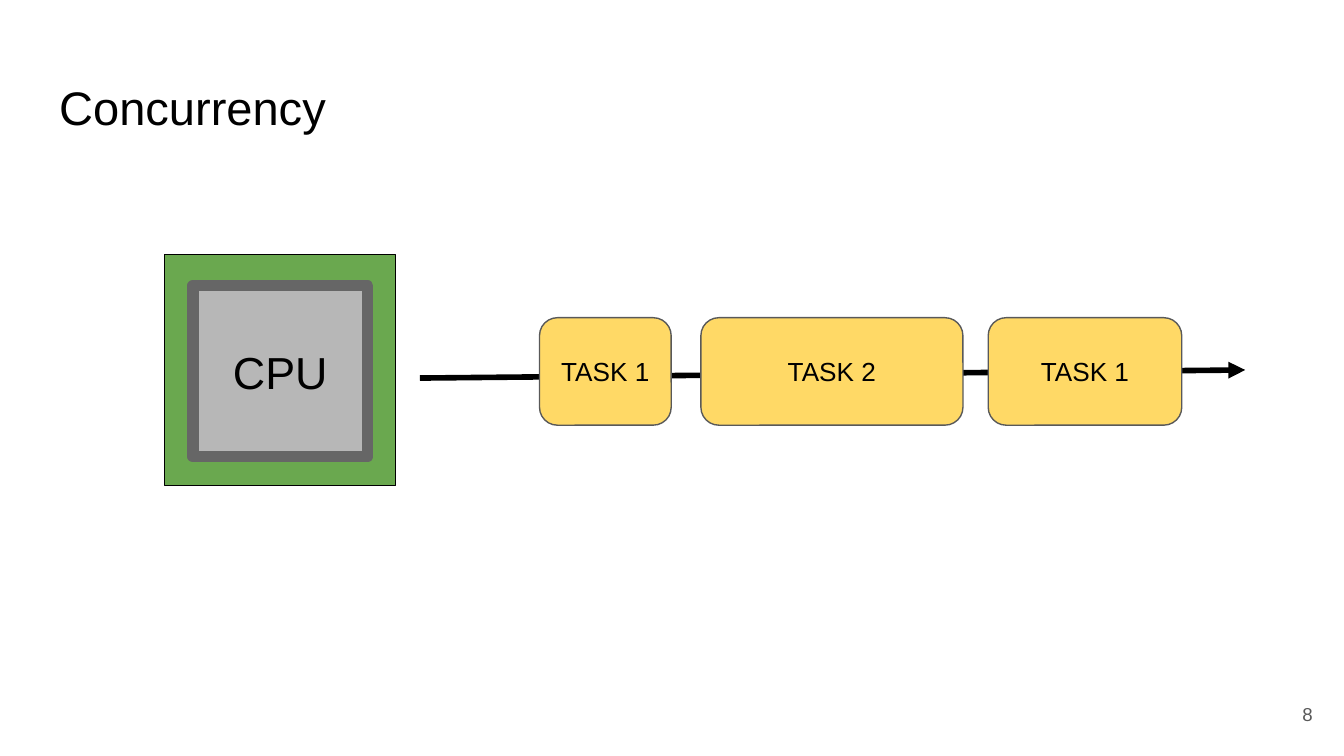
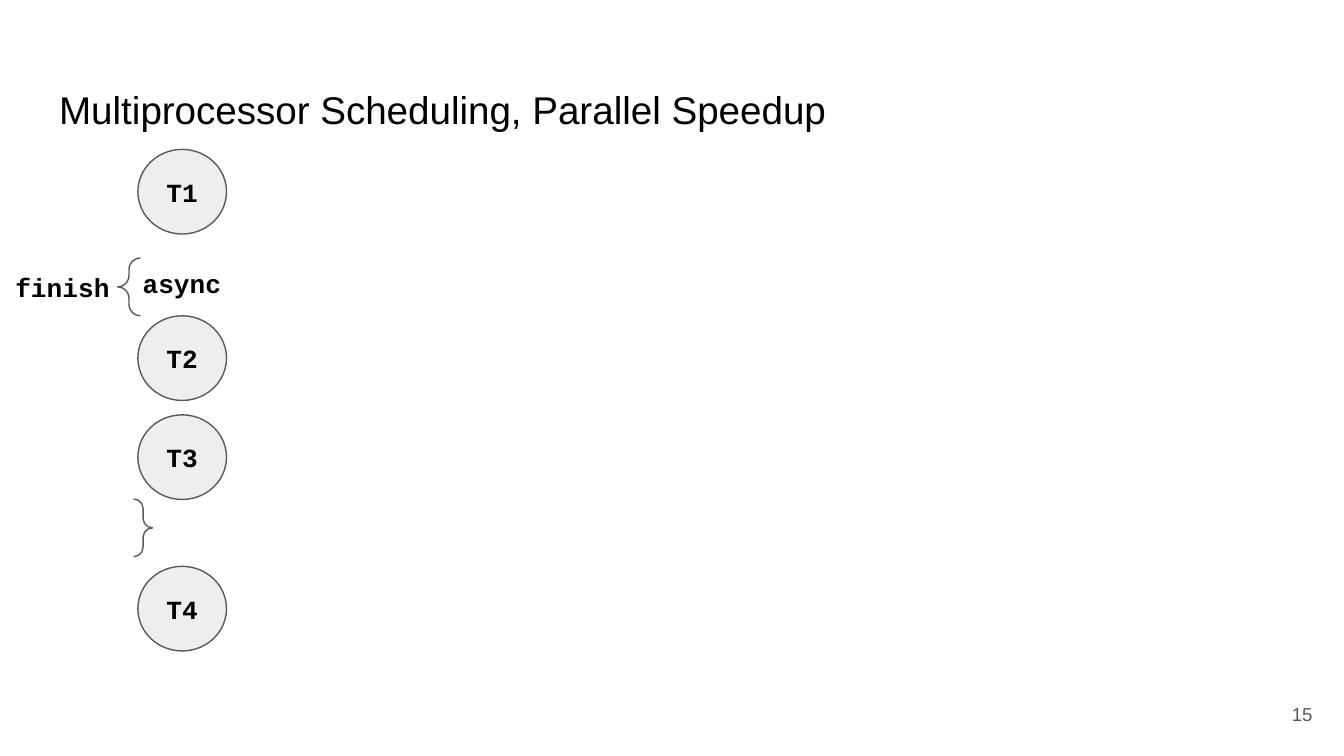
from dataclasses import dataclass
from typing import Optional

import lxml.etree
import pptx
import pptx.dml.color
import pptx.enum.shapes
import pptx.enum.text
import pptx.oxml.ns
import pptx.presentation
import pptx.shapes.base
import pptx.slide
import pptx.util

RGBColor = pptx.dml.color.RGBColor
Shape = pptx.enum.shapes.MSO_SHAPE
Align = pptx.enum.text.PP_ALIGN
Anchor = pptx.enum.text.MSO_ANCHOR

BLACK = RGBColor(0x00, 0x00, 0x00)
OUTLINE_GRAY = RGBColor(0x59, 0x59, 0x59)
TASK_YELLOW = RGBColor(0xFF, 0xD9, 0x66)
BOARD_GREEN = RGBColor(0x6A, 0xA8, 0x4F)
CHIP_GRAY = RGBColor(0xB7, 0xB7, 0xB7)
CHIP_EDGE_GRAY = RGBColor(0x66, 0x66, 0x66)
NODE_GRAY = RGBColor(0xEE, 0xEE, 0xEE)

SLIDE_WIDTH = pptx.util.Inches(10)
SLIDE_HEIGHT = SLIDE_WIDTH * 9 // 16
COLUMN = SLIDE_WIDTH / 100
ROW = SLIDE_HEIGHT / 56.25
INSET = pptx.util.Inches(0.1)
TITLE_ONLY_LAYOUT = 5


@dataclass(frozen=True)
class Box:
    """A place on the grid, in columns across and rows down."""
    left: float
    top: float
    width: float
    height: float

    def lengths(self) -> tuple[int, int, int, int]:
        return (round(self.left * COLUMN), round(self.top * ROW),
                round(self.width * COLUMN), round(self.height * ROW))


@dataclass(frozen=True)
class TextStyle:
    size: float
    font: str = "Arial"
    color: RGBColor = BLACK
    bold: bool = False
    align: Align = Align.CENTER
    anchor: Anchor = Anchor.MIDDLE
    line_spacing: Optional[float] = None


@dataclass(frozen=True)
class ShapeStyle:
    preset: Shape
    fill: Optional[RGBColor] = None
    line: RGBColor = OUTLINE_GRAY
    line_width: float = 0.75
    adjustments: tuple[float, ...] = ()
    text: Optional[TextStyle] = None


@dataclass(frozen=True)
class Task:
    label: str
    left: float
    width: float


CODE = TextStyle(14, "Courier New", bold=True)
PAGE_NUMBER = TextStyle(10, color=OUTLINE_GRAY, align=Align.RIGHT)
TASK = ShapeStyle(Shape.ROUNDED_RECTANGLE, TASK_YELLOW,
                  adjustments=(0.167,), text=TextStyle(14))
BOARD = ShapeStyle(Shape.RECTANGLE, BOARD_GREEN, BLACK)
CHIP = ShapeStyle(Shape.RECTANGLE, CHIP_GRAY, CHIP_EDGE_GRAY, 6,
                  text=TextStyle(24))
NODE = ShapeStyle(Shape.OVAL, NODE_GRAY, text=CODE)
OPENING_BRACE = ShapeStyle(Shape.LEFT_BRACE, adjustments=(0.5, 0.5))
CLOSING_BRACE = ShapeStyle(Shape.RIGHT_BRACE, adjustments=(0.5, 0.5))

TITLE_BOX = Box(3.4, 4.87, 93.2, 6.3)
PAGE_NUMBER_BOX = Box(92.65, 51, 6, 4.3)

TASK_TOP, TASK_HEIGHT = 23.64, 8
TASKS = (Task("TASK 1", 40.14, 9.8),
         Task("TASK 2", 52.15, 19.5),
         Task("TASK 1", 73.53, 14.4))

NODE_LEFT, NODE_WIDTH, NODE_HEIGHT = 10.26, 6.6, 6.3
NODE_TOPS = {"T1": 11.12, "T2": 23.5, "T3": 30.87, "T4": 42.14}


def write_text(shape: pptx.shapes.base.BaseShape, text: str,
               style: TextStyle) -> None:
    frame = shape.text_frame
    frame.text = text
    frame.word_wrap = True
    frame.auto_size = pptx.enum.text.MSO_AUTO_SIZE.NONE
    frame.vertical_anchor = style.anchor
    frame.margin_left = frame.margin_right = INSET
    frame.margin_top = frame.margin_bottom = INSET
    paragraph = frame.paragraphs[0]
    paragraph.alignment = style.align
    if style.line_spacing:
        paragraph.line_spacing = style.line_spacing
    font = paragraph.runs[0].font
    font.name = style.font
    font.size = pptx.util.Pt(style.size)
    font.bold = style.bold
    font.color.rgb = style.color


def add_text(slide: pptx.slide.Slide, box: Box, text: str,
             style: TextStyle) -> None:
    write_text(slide.shapes.add_textbox(*box.lengths()), text, style)


def add_styled_shape(slide: pptx.slide.Slide, box: Box, style: ShapeStyle,
                     text: str = "") -> None:
    shape = slide.shapes.add_shape(style.preset, *box.lengths())
    shape.shadow.inherit = False
    for index, value in enumerate(style.adjustments):
        shape.adjustments[index] = value
    if style.fill is None:
        shape.fill.background()
    else:
        shape.fill.solid()
        shape.fill.fore_color.rgb = style.fill
    shape.line.color.rgb = style.line
    shape.line.width = pptx.util.Pt(style.line_width)
    outline = shape.element.spPr.find(pptx.oxml.ns.qn("a:ln"))
    lxml.etree.SubElement(outline, pptx.oxml.ns.qn("a:round"))
    if text and style.text:
        write_text(shape, text, style.text)


def add_timeline(slide: pptx.slide.Slide, box: Box) -> None:
    """Draw an arrow across the box; a negative height makes it rise."""
    left, top, width, height = box.lengths()
    connector = slide.shapes.add_connector(
        pptx.enum.shapes.MSO_CONNECTOR.STRAIGHT,
        left, top, left + width, top + height)
    connector.line.color.rgb = BLACK
    connector.line.width = pptx.util.Pt(3)
    properties = connector.element.spPr
    outline = properties.find(pptx.oxml.ns.qn("a:ln"))
    lxml.etree.SubElement(outline, pptx.oxml.ns.qn("a:tailEnd"),
                          type="triangle")
    lxml.etree.SubElement(properties, pptx.oxml.ns.qn("a:effectLst"))


def add_titled_slide(presentation: pptx.presentation.Presentation, title: str,
                     size: float, number: int,
                     line_spacing: Optional[float] = None
                     ) -> pptx.slide.Slide:
    layout = presentation.slide_layouts[TITLE_ONLY_LAYOUT]
    slide = presentation.slides.add_slide(layout)
    shape = slide.shapes.title
    shape.left, shape.top, shape.width, shape.height = TITLE_BOX.lengths()
    write_text(shape, title, TextStyle(size, align=Align.LEFT,
                                       anchor=Anchor.TOP,
                                       line_spacing=line_spacing))
    add_text(slide, PAGE_NUMBER_BOX, str(number), PAGE_NUMBER)
    return slide


def build_concurrency(presentation: pptx.presentation.Presentation) -> None:
    slide = add_titled_slide(presentation, "Concurrency", 25.2, 8)
    add_timeline(slide, Box(31.25, 28.13, 61.4, -0.6))
    for task in TASKS:
        box = Box(task.left, TASK_TOP, task.width, TASK_HEIGHT)
        add_styled_shape(slide, box, TASK, task.label)
    add_styled_shape(slide, Box(12.25, 18.94, 17.2, 17.2), BOARD)
    add_styled_shape(slide, Box(14.36, 21.26, 13, 12.74), CHIP, "CPU")


def build_scheduling(presentation: pptx.presentation.Presentation) -> None:
    slide = add_titled_slide(
        presentation, "Multiprocessor Scheduling, Parallel Speedup",
        20.7, 15, line_spacing=1.15)
    for label, top in NODE_TOPS.items():
        box = Box(NODE_LEFT, top, NODE_WIDTH, NODE_HEIGHT)
        add_styled_shape(slide, box, NODE, label)
    add_text(slide, Box(0, 20, 9.3, 2.7), "finish", CODE)
    add_styled_shape(slide, Box(8.75, 19.2, 1.7, 4.3), OPENING_BRACE)
    add_text(slide, Box(9.34, 19.7, 8.4, 2.7), "async", CODE)
    add_styled_shape(slide, Box(9.95, 37.13, 1.4, 4.3), CLOSING_BRACE)


def main() -> None:
    presentation = pptx.Presentation()
    presentation.slide_width = SLIDE_WIDTH
    presentation.slide_height = SLIDE_HEIGHT
    build_concurrency(presentation)
    build_scheduling(presentation)
    presentation.save("out.pptx")


if __name__ == "__main__":
    main()
